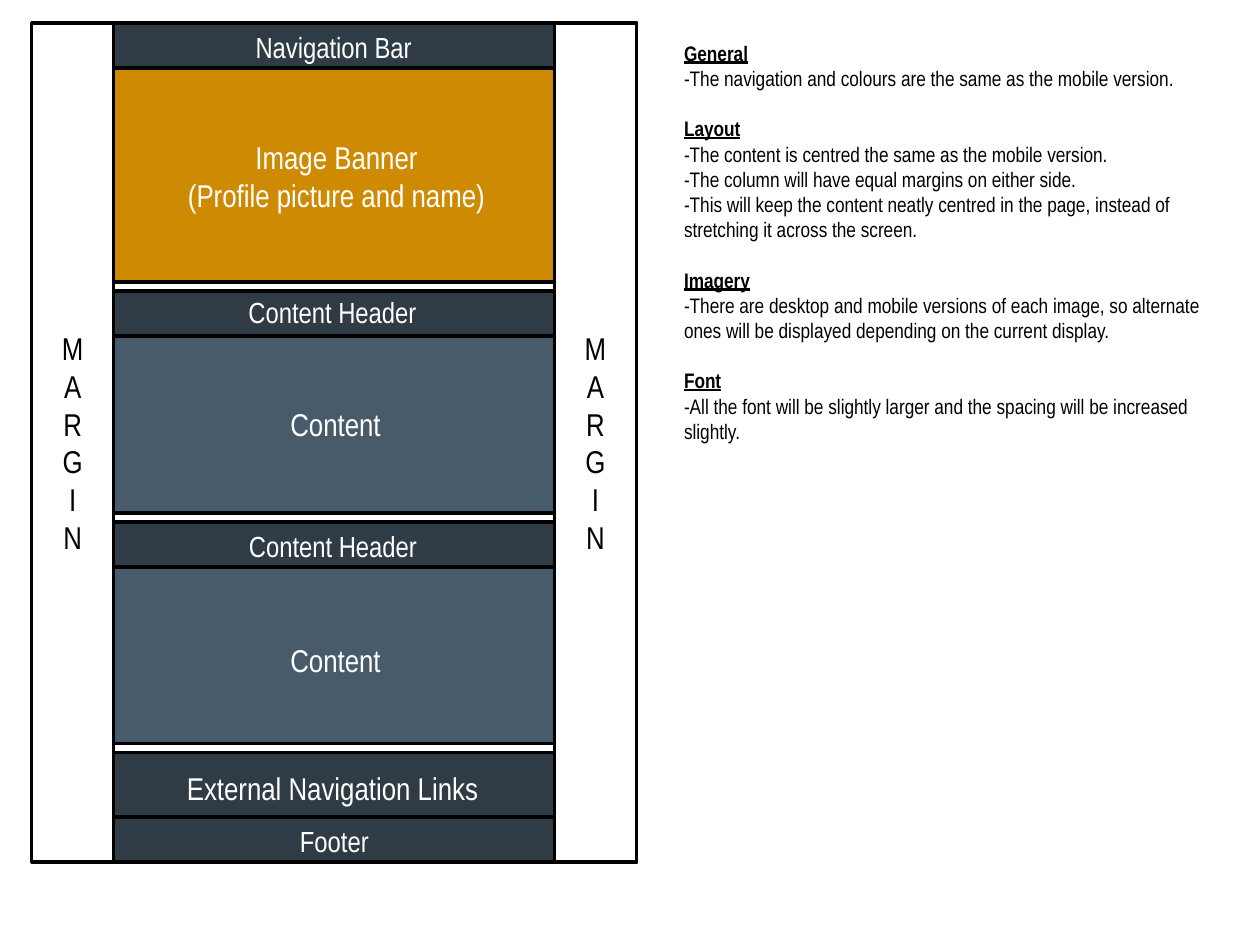
from pptx import Presentation
from pptx.dml.color import RGBColor
from pptx.enum.shapes import MSO_SHAPE
from pptx.enum.text import MSO_ANCHOR, PP_ALIGN
from pptx.util import Cm, Pt

BLACK = RGBColor(0x00, 0x00, 0x00)
WHITE = RGBColor(0xFF, 0xFF, 0xFF)
SLATE = RGBColor(0x2F, 0x3B, 0x45)
STEEL = RGBColor(0x48, 0x5B, 0x6A)
AMBER = RGBColor(0xCE, 0x8A, 0x02)

FONT = "Arial Narrow"
HEADER_SIZE, BODY_SIZE, NOTE_SIZE = 16.6, 18, 12
MARGIN_WIDTH = 1.65
BAND_GAP = 0.18

# Bands from top to bottom: height, gap above, fill, text size, lines,
# and the label's box (left, top, width, height) within the band
BANDS = [
    (0.91, 0, SLATE, HEADER_SIZE, ["Navigation Bar"], (1.96, 0.05, 4.95, 0.89)),
    (4.32, 0, AMBER, BODY_SIZE, ["Image Banner", "(Profile picture and name)"],
     (0.05, 0.71, 8.89, 2.92)),
    (0.91, BAND_GAP, SLATE, HEADER_SIZE, ["Content Header"], (1.63, -0.03, 5.56, 0.89)),
    (3.56, 0, STEEL, BODY_SIZE, ["Content"], (0.03, 0.86, 8.89, 1.8)),
    (0.91, BAND_GAP, SLATE, HEADER_SIZE, ["Content Header"], (1.98, 0.03, 4.88, 0.89)),
    (3.56, 0, STEEL, BODY_SIZE, ["Content"], (0.03, 1.17, 8.89, 1.42)),
    (1.3, BAND_GAP, SLATE, BODY_SIZE, ["External Navigation Links"], (1.09, 0.1, 6.65, 1.22)),
    (0.91, 0, SLATE, HEADER_SIZE, ["Footer"], (2.01, 0.03, 4.88, 0.89)),
]

NOTES = {
    "General": ["-The navigation and colours are the same as the mobile version."],
    "Layout": [
        "-The content is centred the same as the mobile version.",
        "-The column will have equal margins on either side.",
        "-This will keep the content neatly centred in the page, instead of "
        "stretching it across the screen.",
    ],
    "Imagery": [
        "-There are desktop and mobile versions of each image, so alternate ones "
        "will be displayed depending on the current display.",
    ],
    "Font": [
        "-All the font will be slightly larger and the spacing will be increased slightly.",
    ],
}


def add_block(slide, left, top, width, height, fill=None):
    block = slide.shapes.add_shape(
        MSO_SHAPE.RECTANGLE, Cm(left), Cm(top), Cm(width), Cm(height))
    block.shadow.inherit = False
    block.line.color.rgb = BLACK
    block.line.width = Pt(2)
    if fill is None:
        block.fill.background()
    else:
        block.fill.solid()
        block.fill.fore_color.rgb = fill


def add_text(slide, box, lines, size=BODY_SIZE, color=BLACK, align=PP_ALIGN.CENTER,
             anchor=MSO_ANCHOR.MIDDLE, headings=(), heading_gap=0):
    """Write one paragraph per line; headings are bold and underlined."""
    frame = slide.shapes.add_textbox(*(Cm(length) for length in box)).text_frame
    frame.word_wrap = True
    frame.vertical_anchor = anchor
    for index, line in enumerate(lines):
        paragraph = frame.add_paragraph() if index else frame.paragraphs[0]
        paragraph.alignment = align
        run = paragraph.add_run()
        run.text = line
        run.font.name = FONT
        run.font.size = Pt(size)
        run.font.color.rgb = color
        if line in headings:
            run.font.bold = True
            run.font.underline = True
            if index:
                paragraph.space_before = Pt(heading_gap)


def add_column(slide, left, top, width):
    """Stack the page bands with their labels."""
    for height, gap, fill, size, lines, (dx, dy, label_width, label_height) in BANDS:
        top += gap
        add_block(slide, left, top, width, height, fill)
        add_text(slide, (left + dx, top + dy, label_width, label_height), lines,
                 size=size, color=WHITE)
        top += height


def add_wireframe(slide, left, top, width, height):
    # Page outline
    add_block(slide, left, top, width, height)
    # Equal margins on both sides
    for margin_left in (left, left + width - MARGIN_WIDTH):
        add_block(slide, margin_left, top, MARGIN_WIDTH, height)
        add_text(slide, (margin_left, top, MARGIN_WIDTH, height), "MARGIN")
    # Centred content column
    add_column(slide, left + MARGIN_WIDTH, top, width - 2 * MARGIN_WIDTH)


def add_notes_panel(slide, left, top, width, height):
    lines = [line for heading, points in NOTES.items() for line in (heading, *points)]
    add_text(slide, (left, top, width, height), lines, size=NOTE_SIZE,
             align=PP_ALIGN.LEFT, anchor=MSO_ANCHOR.TOP, headings=NOTES, heading_gap=14.4)


def main():
    deck = Presentation()
    deck.slide_width, deck.slide_height = Cm(25.4), Cm(19.05)
    slide = deck.slides.add_slide(deck.slide_layouts[6])
    add_wireframe(slide, 0.64, 0.46, 12.19, 16.92)
    add_notes_panel(slide, 13.54, 0.69, 11.43, 8.46)
    deck.save("out.pptx")


if __name__ == "__main__":
    main()
